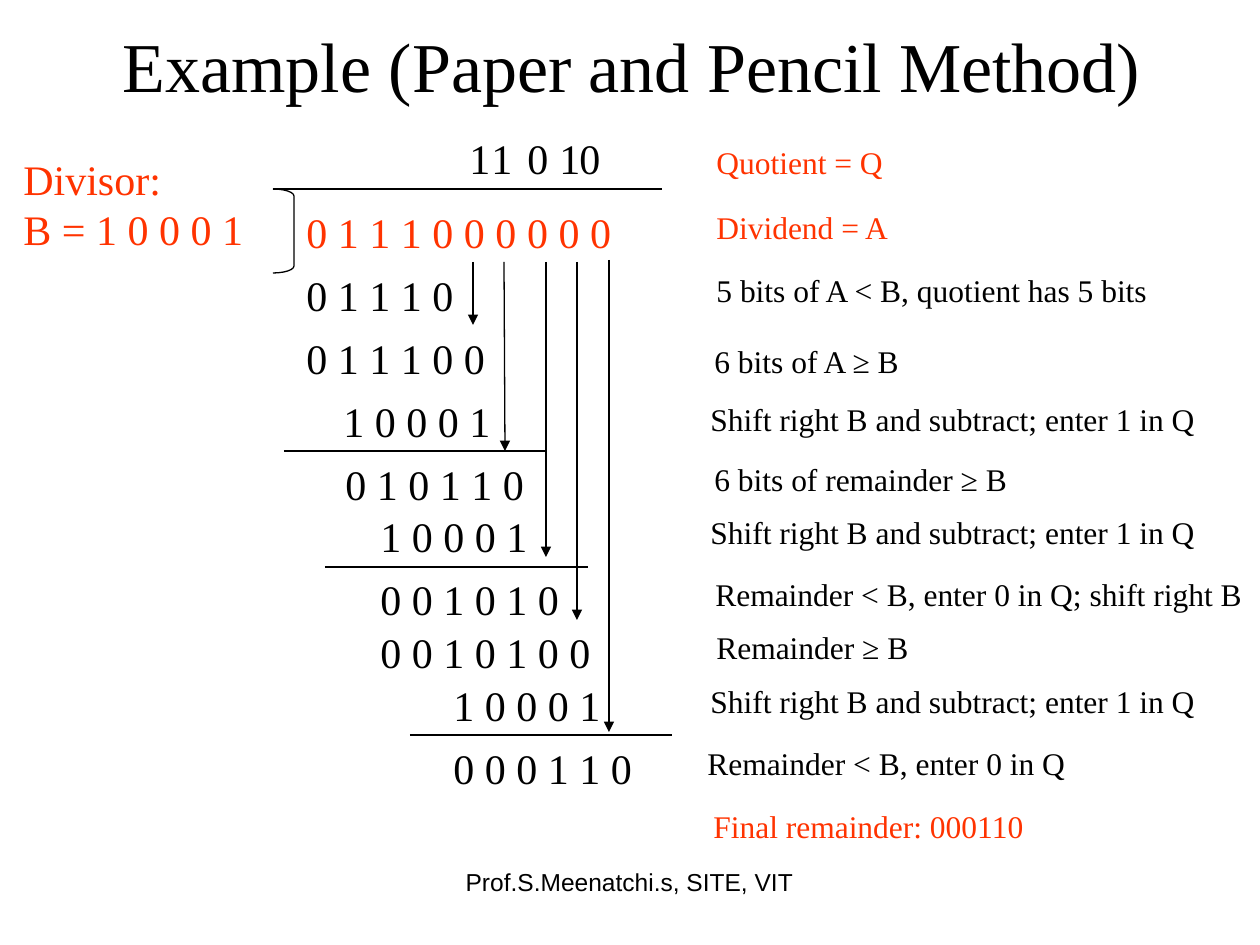
from lxml import etree
from pptx import Presentation, util as u
from pptx.dml.color import RGBColor
from pptx.enum import shapes, text
from pptx.oxml import ns

SCALE = 914400 / 126
BLACK = RGBColor(0x00, 0x00, 0x00)
RED = RGBColor(0xFF, 0x33, 0x00)
SERIF = "Times New Roman"
LINE_WIDTH = u.Pt(0.75)


def add_text(box, lines, size, color=BLACK, name=SERIF, align=text.PP_ALIGN.LEFT, **frame_format):
    frame = slide.shapes.add_textbox(*(round(n * SCALE) for n in box)).text_frame
    frame_format = {"word_wrap": False, "auto_size": text.MSO_AUTO_SIZE.SHAPE_TO_FIT_TEXT, **frame_format}
    for key, value in frame_format.items():
        setattr(frame, key, value)
    for index, line in enumerate(lines):
        paragraph = frame.add_paragraph() if index else frame.paragraphs[0]
        paragraph.alignment = align
        run = paragraph.add_run()
        run.text = line
        for key, value in {"size": u.Pt(size), "name": name}.items():
            setattr(run.font, key, value)
        run.font.color.rgb = color


def add_line(*ends, arrow=False):
    line = slide.shapes.add_connector(shapes.MSO_CONNECTOR.STRAIGHT, *(round(n * SCALE) for n in ends))
    line.line.color.rgb = BLACK
    line.line.width = LINE_WIDTH
    if arrow:
        etree.SubElement(line.line._get_or_add_ln(), ns.qn("a:tailEnd"), type="triangle")
    etree.SubElement(line._element.spPr, ns.qn("a:effectLst"))


prs = Presentation()
prs.slide_width = round(1260 * SCALE)
prs.slide_height = round(945 * SCALE)
slide = prs.slides.add_slide(prs.slide_layouts[6])

centred = {
    "align": text.PP_ALIGN.CENTER,
    "word_wrap": True,
    "auto_size": text.MSO_AUTO_SIZE.NONE,
}
add_text((63, 21, 1155, 88), ["Example (Paper and Pencil Method) "], 40,
         vertical_anchor=text.MSO_ANCHOR.MIDDLE, **centred)
add_text((11, 147, 250, 113), ["Divisor:", "B = 1 0 0 0 1"], 24, RED)

bracket = slide.shapes.add_shape(shapes.MSO_SHAPE.RIGHT_BRACKET,
                                 *(round(n * SCALE) for n in (273, 189, 21, 84)))
bracket.adjustments[0] = 0.33
bracket.shadow.inherit = False
bracket.fill.background()
bracket.line.color.rgb = BLACK
bracket.line.width = LINE_WIDTH

division_steps = [
    ("1", 457, 126, BLACK),
    ("1", 479, 126, BLACK),
    ("0", 515, 126, BLACK),
    ("1", 547, 126, BLACK),
    ("0", 567, 126, BLACK),
    ("0111000000", 294, 200, RED),
    ("01110", 294, 263, BLACK),
    ("011100", 294, 326, BLACK),
    ("10001", 331, 389, BLACK),
    ("010110", 333, 452, BLACK),
    ("10001", 368, 504, BLACK),
    ("001010", 368, 567, BLACK),
    ("0010100", 368, 620, BLACK),
    ("10001", 441, 673, BLACK),
    ("000110", 441, 736, BLACK),
]
for bits, left, top, color in division_steps:
    add_text((left, top, round(18 + 31.5 * len(bits)), 63), [" ".join(bits)], 24, color)

for left, right, y in [(273, 662, 189), (284, 546, 451), (325, 588, 567), (410, 672, 735)]:
    add_line(left, y, right, y)

bring_downs = [
    (473, 262, 473, 325),
    (504, 262, 505, 451),
    (546, 262, 546, 557),
    (577, 262, 577, 620),
    (609, 260, 609, 732),
]
for ends in bring_downs:
    add_line(*ends, arrow=True)

SUBTRACT = "Shift right B and subtract; enter 1 in Q"
explanations = [
    ("Quotient = Q", 704, 137, 194, RED),
    ("Dividend = A", 704, 202, 200, RED),
    ("5 bits of A < B, quotient has 5 bits", 704, 265, 462, BLACK),
    ("6 bits of A ≥ B", 702, 336, 223, BLACK),
    (SUBTRACT, 698, 394, 514, BLACK),
    ("6 bits of remainder ≥ B", 702, 454, 328, BLACK),
    (SUBTRACT, 698, 507, 514, BLACK),
    ("Remainder < B, enter 0 in Q; shift right B", 703, 569, 557, BLACK),
    ("Remainder ≥ B", 704, 622, 229, BLACK),
    (SUBTRACT, 698, 676, 514, BLACK),
    ("Remainder < B, enter 0 in Q", 695, 738, 386, BLACK),
    ("Final remainder: 000110", 701, 801, 339, RED),
]
for note, left, top, width, color in explanations:
    add_text((left, top, width, 50), [note], 18, color)

add_text((430, 861, 399, 66), ["Prof.S.Meenatchi.s, SITE, VIT"], 14, name="Arial", **centred)

prs.save("out.pptx")
